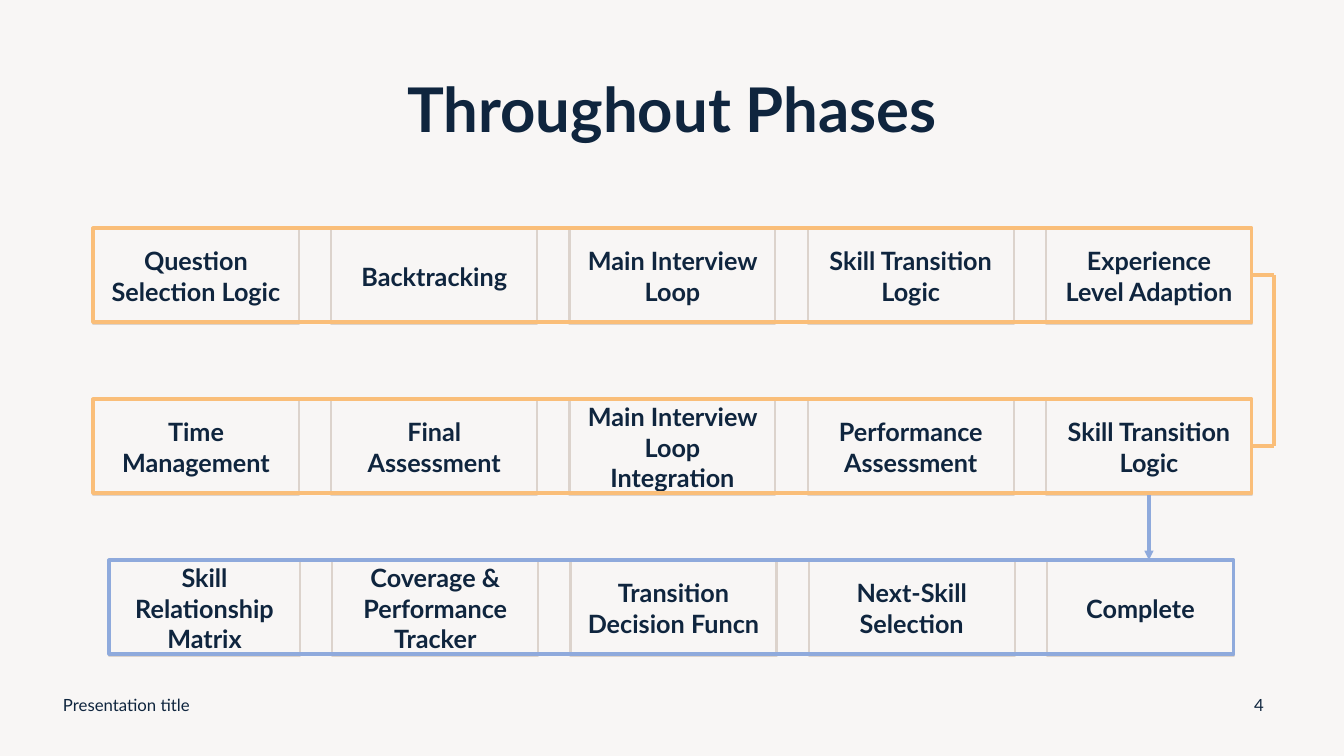
from lxml.etree import SubElement
from pptx import Presentation
from pptx.dml.color import RGBColor
from pptx.enum.shapes import MSO_CONNECTOR as Connector, MSO_SHAPE as Shape
from pptx.enum.text import MSO_ANCHOR as Anchor, PP_ALIGN as Align
from pptx.oxml.ns import qn
from pptx.util import Pt

EMU_PER_PX = 914400 / 100.8
NAVY = RGBColor(0x0F, 0x25, 0x3E)
CREAM = RGBColor(0xF8, 0xF6, 0xF5)
STONE = RGBColor(0xDC, 0xD3, 0xCC)
ORANGE = RGBColor(0xFA, 0xBE, 0x79)
BLUE = RGBColor(0x8F, 0xAA, 0xDC)

GRID_WIDTH, CELL_WIDTH, CELL_HEIGHT, FRAME_HEIGHT = 1159, 206, 96, 94
BRACKET_X = 1274
TOP, BOTTOM, RIGHT = 0, 2, 3

MAIN_STEPS = ["Question Selection Logic", "Backtracking", "Main Interview Loop",
              "Skill Transition Logic", "Experience Level Adaption"]
CLOSING_STEPS = ["Time Management", "Final Assessment",
                 "Main Interview Loop Integration", "Performance Assessment",
                 "Skill Transition Logic"]
TRANSITION_STEPS = ["Skill Relationship Matrix", "Coverage & Performance Tracker",
                    "Transition Decision Funcn", "Next-Skill Selection", "Complete"]


def px(*lengths):
    return [round(length * EMU_PER_PX) for length in lengths]


def set_values(target, values):
    for name, value in values.items():
        setattr(target, name, value)


def write_text(shape, text, size, bold=False, align=Align.CENTER, inset=10, spacing=1.0):
    frame = shape.text_frame
    margin, = px(inset)
    set_values(frame, {"text": text, "word_wrap": True, "vertical_anchor": Anchor.MIDDLE,
                       "margin_left": margin, "margin_right": margin})
    paragraph = frame.paragraphs[0]
    set_values(paragraph, {"alignment": align, "line_spacing": spacing})
    font = paragraph.runs[0].font
    set_values(font, {"name": "Lato", "size": Pt(size), "bold": bold})
    font.color.rgb = NAVY


def add_title(slide, text):
    title = slide.shapes.title
    left, top, width, height = px(93, 40, 1159, 146)
    set_values(title, {"left": left, "top": top, "width": width, "height": height})
    write_text(title, text, 44, bold=True, spacing=0.9)


def add_label(slide, text, box, align):
    label = slide.shapes.add_textbox(*px(*box))
    write_text(label, text, 12, align=align)


def add_outline(slide, box, color, weight):
    shape = slide.shapes.add_shape(Shape.RECTANGLE, *px(*box))
    shape.shadow.inherit = False
    shape.fill.background()
    shape.line.color.rgb = color
    shape.line.width = Pt(weight)
    return shape


def add_row(slide, steps, grid_left, top, frame_left, frame_width, color):
    pitch = (GRID_WIDTH - CELL_WIDTH) / (len(steps) - 1)
    cells = []
    for index, step in enumerate(steps):
        left = max(grid_left + index * pitch, frame_left)
        right = min(grid_left + index * pitch + CELL_WIDTH, frame_left + frame_width)
        cell = add_outline(slide, (left, top, right - left, CELL_HEIGHT), STONE, 1.5)
        write_text(cell, step, 18, bold=True, inset=12)
        cells.append(cell)
    frame = add_outline(slide, (frame_left, top, frame_width, FRAME_HEIGHT), color, 2.25)
    return frame, cells


def add_line(slide, start, end, color, arrow=False):
    line = slide.shapes.add_connector(Connector.STRAIGHT, *px(*start, *end))
    line.line.color.rgb = color
    line.line.width = Pt(2.25)
    if arrow:
        SubElement(line.line._get_or_add_ln(), qn("a:tailEnd"), type="triangle")
    SubElement(line._element.spPr, qn("a:effectLst"))
    return line


def add_bracket(slide, upper_frame, lower_frame, upper_y, lower_y):
    for frame, y in ((upper_frame, upper_y), (lower_frame, lower_y)):
        arm = add_line(slide, (1252, y), (BRACKET_X, y), ORANGE)
        arm.begin_connect(frame, RIGHT)
    add_line(slide, (BRACKET_X, upper_y), (BRACKET_X, lower_y), ORANGE)


def main():
    presentation = Presentation()
    presentation.slide_width, presentation.slide_height = px(1344, 756)
    slide = presentation.slides.add_slide(presentation.slide_layouts[5])
    slide.background.fill.solid()
    slide.background.fill.fore_color.rgb = CREAM

    add_title(slide, "Throughout Phases")
    main_frame, _ = add_row(slide, MAIN_STEPS, 93, 228, 93, GRID_WIDTH, ORANGE)
    closing_frame, closing_cells = add_row(
        slide, CLOSING_STEPS, 93, 399, 93, GRID_WIDTH, ORANGE)
    add_row(slide, TRANSITION_STEPS, 94, 560, 109, 1125, BLUE)

    add_bracket(slide, main_frame, closing_frame, 275, 446)
    arrow = add_line(slide, (1149, 495), (1149, 560), BLUE, arrow=True)
    arrow.begin_connect(closing_cells[-1], BOTTOM)

    add_label(slide, "Presentation title", (53, 685, 454, 40), Align.LEFT)
    add_label(slide, "4", (1234, 685, 50, 40), Align.CENTER)
    presentation.save("out.pptx")


if __name__ == "__main__":
    main()
